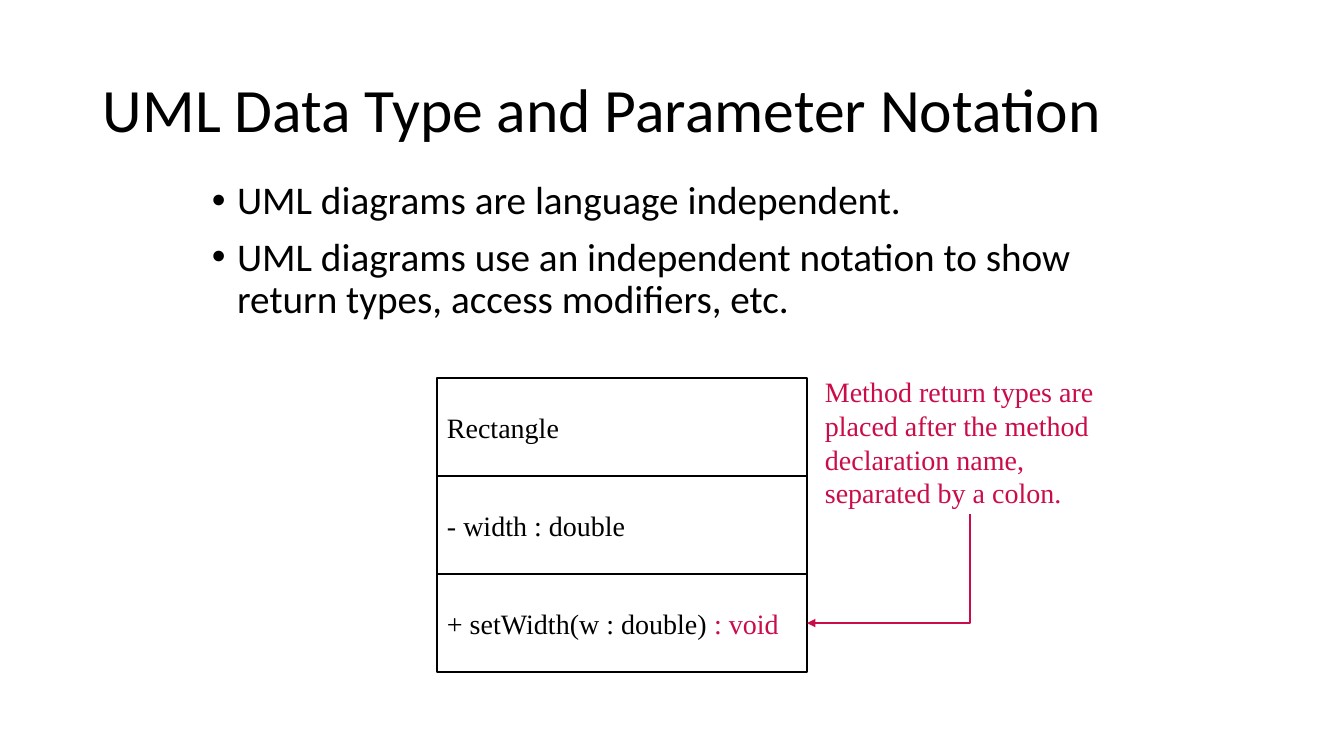
from lxml.etree import SubElement
from pptx import Presentation
from pptx.dml.color import RGBColor
from pptx.enum.shapes import MSO_CONNECTOR, MSO_SHAPE
from pptx.enum.text import MSO_ANCHOR, PP_ALIGN
from pptx.oxml.ns import qn
from pptx.util import Emu, Pt

BLACK, WHITE, CRIMSON = "000000", "FFFFFF", "CA0C48"
SANS, SERIF = "Calibri", "Times New Roman"


def px(length):
    return Emu(round(length * 914400 / 100.8))


def color(value):
    return RGBColor.from_string(value)


class SlideBuilder:
    """Draws the elements of one slide in a shared style."""

    def __init__(self, slide):
        self.shapes = slide.shapes

    def style(self, run, font, size, ink):
        run.font.name = font
        run.font.size = Pt(size)
        run.font.color.rgb = color(ink)

    def text(self, bounds, lines, font, size, ink=BLACK, anchor=MSO_ANCHOR.TOP, spacing=1.0):
        box = self.shapes.add_textbox(*map(px, bounds))
        frame = box.text_frame
        frame.word_wrap = True
        frame.vertical_anchor = anchor
        frame.text = "\n".join(lines)
        for paragraph in frame.paragraphs:
            paragraph.line_spacing = spacing
            self.style(paragraph.runs[0], font, size, ink)
        return box

    def bullets(self, bounds, lines, size):
        box = self.text(bounds, lines, SANS, size, spacing=0.9)
        for index, paragraph in enumerate(box.text_frame.paragraphs):
            if index:
                paragraph.space_before = Pt(10)
            properties = paragraph._p.get_or_add_pPr()
            properties.set("marL", "228600")
            properties.set("indent", "-228600")
            SubElement(properties, qn("a:buFont")).set("typeface", "Arial")
            SubElement(properties, qn("a:buChar")).set("char", "•")

    def compartment(self, bounds, parts):
        cell = self.shapes.add_shape(MSO_SHAPE.RECTANGLE, *map(px, bounds))
        cell.shadow.inherit = False
        cell.fill.solid()
        cell.fill.fore_color.rgb = color(WHITE)
        cell.line.color.rgb = color(BLACK)
        cell.line.width = Pt(1)
        frame = cell.text_frame
        frame.word_wrap = False
        frame.vertical_anchor = MSO_ANCHOR.MIDDLE
        paragraph = frame.paragraphs[0]
        paragraph.alignment = PP_ALIGN.LEFT
        for wording, ink in parts:
            run = paragraph.add_run()
            run.text = wording
            self.style(run, SERIF, 20, ink)
        return cell

    def corner_arrow(self, source, target, start, end, ink):
        (x1, y1), (x2, y2) = start, end
        run, drop = x1 - x2, y2 - y1
        arrow = self.shapes.add_connector(MSO_CONNECTOR.ELBOW, *map(px, (x1, y1, x2, y2)))
        arrow.begin_connect(source, 2)
        arrow.end_connect(target, 3)
        arrow.line.color.rgb = color(ink)
        arrow.line.width = Pt(2)
        properties = arrow._element.spPr
        properties.find(qn("a:prstGeom")).set("prst", "bentConnector2")
        frame = properties.find(qn("a:xfrm"))
        for flip in ("flipH", "flipV"):
            frame.attrib.pop(flip, None)
        frame.set("rot", "5400000")
        arrow.left, arrow.top = px((x1 + x2 - drop) / 2), px((y1 + y2 - run) / 2)
        arrow.width, arrow.height = px(drop), px(run)
        SubElement(properties.find(qn("a:ln")), qn("a:tailEnd")).set("type", "triangle")
        SubElement(properties, qn("a:effectLst"))


def main():
    presentation = Presentation()
    presentation.slide_width, presentation.slide_height = px(1344), px(756)
    page = SlideBuilder(presentation.slides.add_slide(presentation.slide_layouts[6]))

    page.text((93, 40, 1159, 146), ["UML Data Type and Parameter Notation"],
              SANS, 44, anchor=MSO_ANCHOR.MIDDLE, spacing=0.9)
    page.bullets((202, 176, 914, 196), [
        "UML diagrams are language independent.",
        "UML diagrams use an independent notation to show return types, access modifiers, etc.",
    ], 28)

    left, top, width, height = 437, 378, 370, 98
    members = [
        [("Rectangle", BLACK)],
        [("- width : double", BLACK)],
        [("+ setWidth(w : double) ", BLACK), (": void", CRIMSON)],
    ]
    class_diagram = [page.compartment((left, top + row * height, width, height), parts)
                     for row, parts in enumerate(members)]

    return_type_note = page.text((815, 370, 310, 144), [
        "Method return types are placed after the method declaration name, separated by a colon.",
    ], SERIF, 20, CRIMSON)
    page.corner_arrow(return_type_note, class_diagram[-1], (970, 514), (807, 623), CRIMSON)

    presentation.save("out.pptx")


if __name__ == "__main__":
    main()
